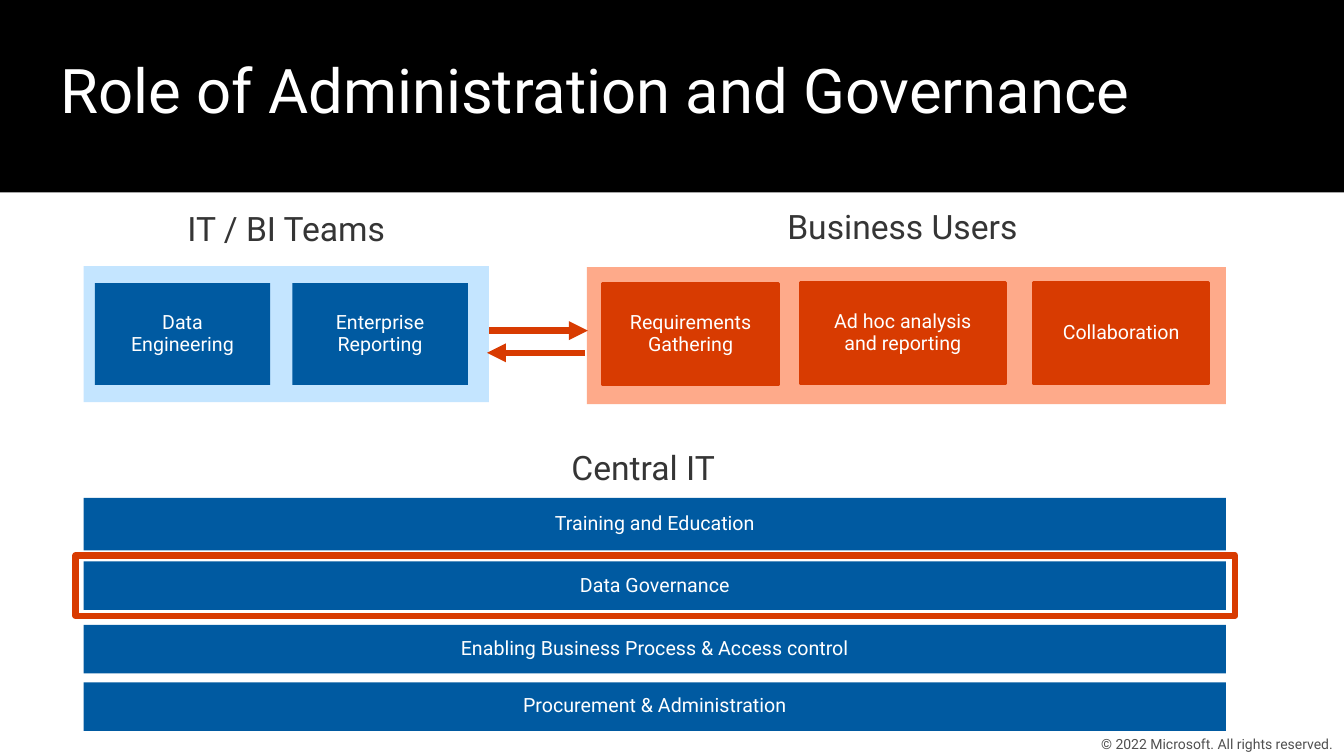
"""Build the slide on the role of administration and governance."""
from dataclasses import dataclass

from lxml import etree
from pptx import Presentation
from pptx.dml.color import RGBColor
from pptx.enum.shapes import MSO_CONNECTOR, MSO_SHAPE
from pptx.enum.text import MSO_ANCHOR, PP_ALIGN
from pptx.oxml.ns import qn
from pptx.util import Pt

RECT = MSO_SHAPE.RECTANGLE
STRAIGHT = MSO_CONNECTOR.STRAIGHT
TOP, MIDDLE = MSO_ANCHOR.TOP, MSO_ANCHOR.MIDDLE
LEFT, CENTER = PP_ALIGN.LEFT, PP_ALIGN.CENTER

EMU_PER_PX = 9144
FONT = "Roboto"
BLACK, WHITE, DARK, GREY = "000000", "FFFFFF", "353535", "505050"
BLUE, PALE_BLUE = "005AA1", "C4E5FF"
ORANGE, PALE_ORANGE = "D83B01", "FEAA8A"


@dataclass(frozen=True)
class Box:
    """A filled or outlined rectangle with an optional centred label."""
    x: int
    y: int
    w: int
    h: int
    fill: str = ""
    line: str = ""
    weight: float = 2
    label: str = ""


@dataclass(frozen=True)
class Caption:
    """A free-standing text with its own size, colour and layout."""
    text: str
    x: int
    y: int
    w: int
    h: int
    size: int = 24
    color: str = DARK
    align: PP_ALIGN = CENTER
    anchor: MSO_ANCHOR = TOP
    inset_x: int = 20
    inset_y: int = 16
    spacing: float = 0.9
    after: int = 6


@dataclass(frozen=True)
class Arrow:
    """A horizontal arrow from x1 to x2."""
    x1: int
    x2: int
    y: int


BACKDROPS = [
    Box(0, 0, 1333, 191, BLACK),
    Box(83, 264, 402, 135, PALE_BLUE),
    Box(582, 265, 634, 136, PALE_ORANGE),
]
TEAM_CARDS = [
    Box(x, 281, 174, 101, BLUE, label=label)
    for x, label in [(94, "Data Engineering"), (290, "Enterprise Reporting")]
]
USER_CARDS = [
    Box(x, y, w, 101, ORANGE, ORANGE, label=label)
    for x, y, w, label in [
        (598, 281, 174, "Requirements Gathering"),
        (794, 280, 203, "Ad hoc analysis and reporting"),
        (1025, 280, 174, "Collaboration"),
    ]
]
CENTRAL_BARS = [
    Box(83, y, 1133, h, BLUE, label=label)
    for y, h, label in [
        (494, 52, "Training and Education"),
        (557, 48, "Data Governance"),
        (620, 48, "Enabling Business Process & Access control"),
        (677, 48, "Procurement & Administration"),
    ]
]
HIGHLIGHT = Box(75, 551, 1150, 60, line=ORANGE, weight=4.5)
ARROWS = [Arrow(485, 583, 328), Arrow(580, 483, 350)]
CAPTIONS = [
    Caption("Role of Administration and Governance", 60, 52, 1219, 76, 44,
            WHITE, LEFT, inset_x=0, inset_y=0, spacing=1, after=0),
    Caption("IT / BI Teams", 83, 195, 402, 69),
    Caption("Business Users", 582, 193, 626, 69),
    Caption("Central IT", 325, 432, 626, 69),
    Caption("© 2022 Microsoft. All rights reserved.", 1082, 726, 250, 24, 10,
            GREY, anchor=MIDDLE, inset_x=0, inset_y=0, spacing=1, after=0),
]


def px(n: int) -> int:
    """Turn px into EMU."""
    return n * EMU_PER_PX


def rgb(value: str) -> RGBColor:
    """Turn a hex string into a colour."""
    return RGBColor.from_string(value)


def write(tf, text: str, size: int, color: str, align: PP_ALIGN = CENTER,
          anchor: MSO_ANCHOR = MIDDLE, inset_x: int = 20, inset_y: int = 16,
          spacing: float = 0.9, after: int = 0) -> None:
    """Fill a text frame with one formatted paragraph."""
    tf.word_wrap = True
    tf.vertical_anchor = anchor
    tf.margin_left = tf.margin_right = px(inset_x)
    tf.margin_top = tf.margin_bottom = px(inset_y)
    p = tf.paragraphs[0]
    p.alignment = align
    p.line_spacing = spacing
    p.space_after = Pt(after)
    r = p.add_run()
    r.text = text
    r.font.name = FONT
    r.font.size = Pt(size)
    r.font.color.rgb = rgb(color)


def draw_box(s, box: Box) -> None:
    """Draw a rectangle and its label."""
    sp = s.shapes.add_shape(RECT, px(box.x), px(box.y), px(box.w), px(box.h))
    sp.shadow.inherit = False
    if box.fill:
        sp.fill.solid()
        sp.fill.fore_color.rgb = rgb(box.fill)
    else:
        sp.fill.background()
    if box.line:
        sp.line.color.rgb = rgb(box.line)
        sp.line.width = Pt(box.weight)
    else:
        sp.line.fill.background()
    if box.label:
        write(sp.text_frame, box.label, 14, WHITE)


def draw_caption(s, c: Caption) -> None:
    """Draw a free-standing text."""
    sp = s.shapes.add_textbox(px(c.x), px(c.y), px(c.w), px(c.h))
    write(sp.text_frame, c.text, c.size, c.color, c.align, c.anchor,
          c.inset_x, c.inset_y, c.spacing, c.after)


def draw_arrow(s, a: Arrow) -> None:
    """Draw a line with a triangle at its end."""
    sp = s.shapes.add_connector(STRAIGHT, px(a.x1), px(a.y), px(a.x2), px(a.y))
    sp.line.color.rgb = rgb(ORANGE)
    sp.line.width = Pt(4.5)
    ln = sp.line._get_or_add_ln()
    etree.SubElement(ln, qn("a:tailEnd"), type="triangle")
    etree.SubElement(sp._element.spPr, qn("a:effectLst"))


def main() -> None:
    """Build and save the slide."""
    prs = Presentation()
    prs.slide_width, prs.slide_height = px(1333), px(750)
    s = prs.slides.add_slide(prs.slide_layouts[6])
    for box in [*BACKDROPS, *TEAM_CARDS, *USER_CARDS, *CENTRAL_BARS, HIGHLIGHT]:
        draw_box(s, box)
    for arrow in ARROWS:
        draw_arrow(s, arrow)
    for caption in CAPTIONS:
        draw_caption(s, caption)
    prs.save("out.pptx")


if __name__ == "__main__":
    main()
